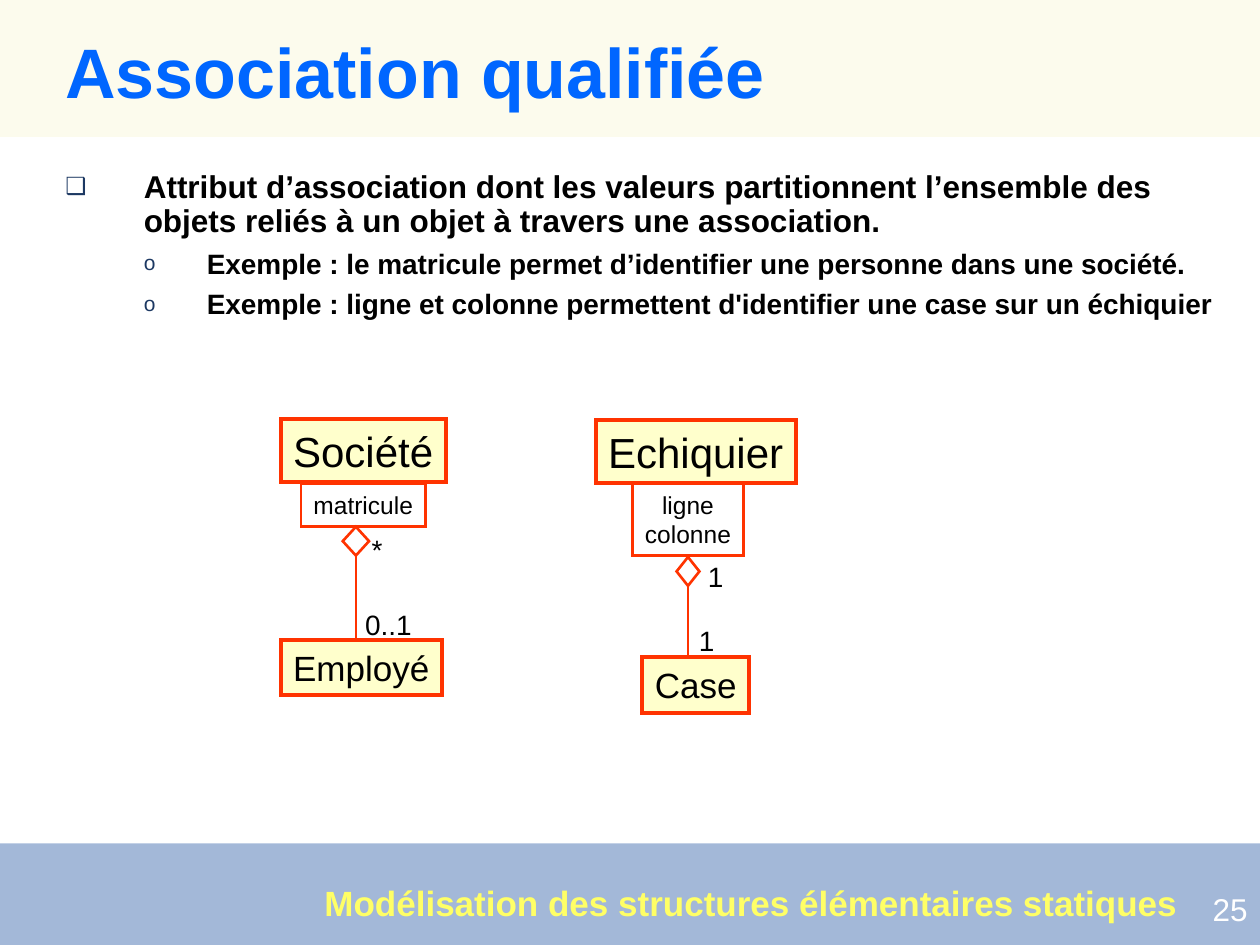
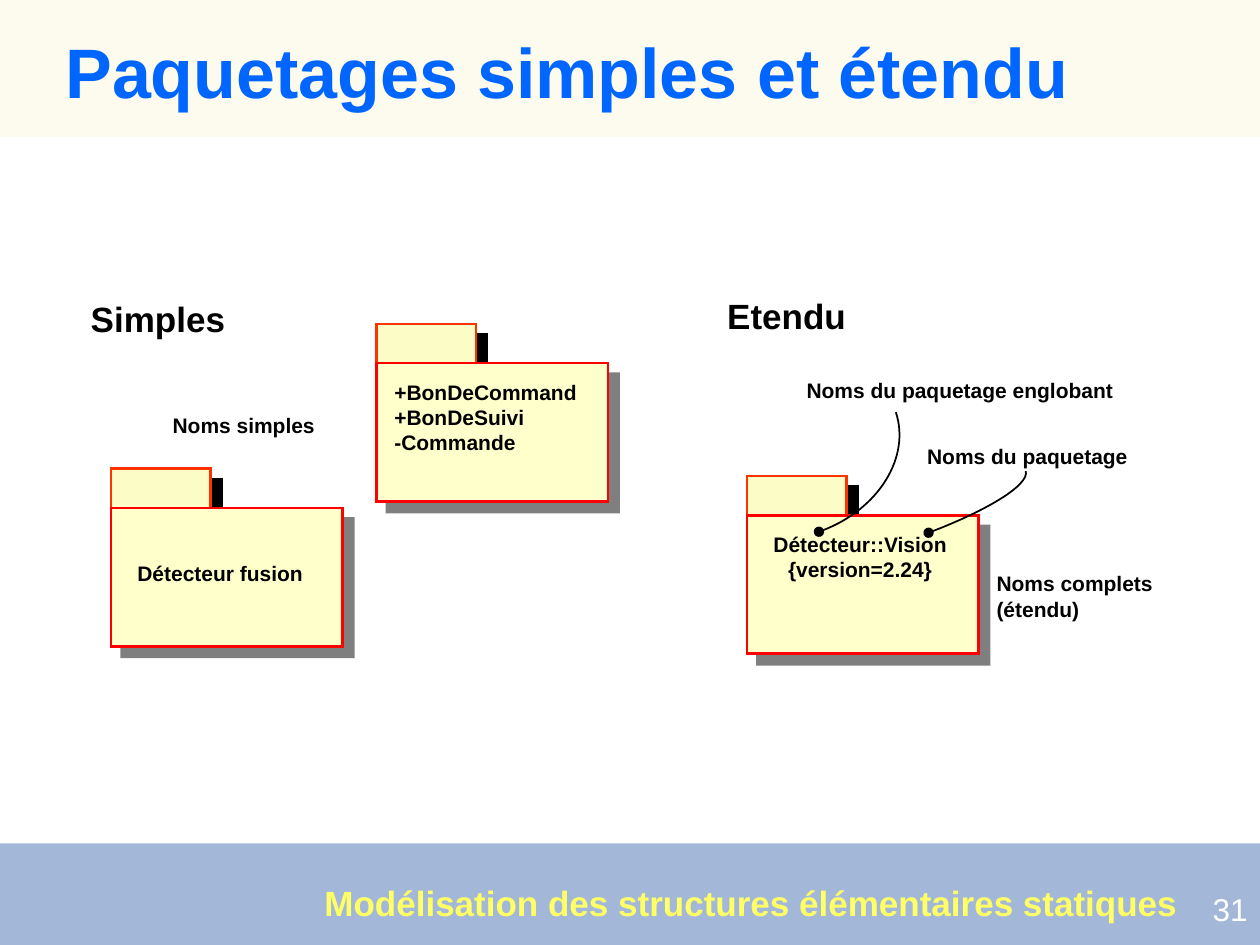
"""Build two UML course slides: qualified associations and packages."""
from dataclasses import dataclass
from typing import NamedTuple, Optional

from lxml.etree import SubElement
from pptx import Presentation
from pptx.dml.color import RGBColor as Rgb
from pptx.enum.shapes import MSO_CONNECTOR as Connector, MSO_SHAPE as Preset
from pptx.enum.text import MSO_ANCHOR as Anchor, PP_ALIGN as Align
from pptx.oxml.ns import qn
from pptx.util import Cm, Length, Pt


@dataclass(frozen=True)
class Theme:
    font: str = "Arial"
    title: Rgb = Rgb(0x00, 0x66, 0xFF)
    text: Rgb = Rgb(0, 0, 0)
    number: Rgb = Rgb(0xFF, 0xFF, 0xFF)
    footer: Rgb = Rgb(0xFF, 0xFF, 0x66)
    bullet: Rgb = Rgb(0x1C, 0x38, 0x62)
    header_band: Rgb = Rgb(0xFA, 0xF8, 0xD8)
    footer_band: Rgb = Rgb(0x33, 0x63, 0xA9)
    outline: Rgb = Rgb(0xFF, 0x33, 0x00)
    package_outline: Rgb = Rgb(0xFF, 0x00, 0x00)
    class_fill: Rgb = Rgb(0xFF, 0xFF, 0xCC)
    tab_fill: Rgb = Rgb(0xFC, 0xFD, 0xC6)
    band_opacity: int = 45
    title_size: Length = Pt(40)
    class_size: Length = Pt(24)
    heading_size: Length = Pt(20)
    body_size: Length = Pt(18)
    detail_size: Length = Pt(16)
    qualifier_size: Length = Pt(14)
    note_size: Length = Pt(12)
    thin: Length = Pt(1)
    medium: Length = Pt(1.5)
    thick: Length = Pt(2.25)


THEME = Theme()


class Area(NamedTuple):
    left: float
    top: float
    width: float
    height: float

    def lengths(self) -> list:
        return [Cm(value) for value in self]


@dataclass(frozen=True)
class Label:
    text: str
    area: Area
    size: Length = THEME.note_size
    color: Rgb = THEME.text
    bold: bool = True
    align: Align = Align.LEFT
    inset: bool = False
    wrap: bool = True
    spacing: Optional[float] = None
    anchor: Anchor = Anchor.TOP


@dataclass(frozen=True)
class ClassBox:
    text: str
    area: Area
    size: Length
    fill: Optional[Rgb] = THEME.class_fill
    weight: Length = THEME.thick
    align: Align = Align.LEFT


class Aggregation(NamedTuple):
    diamond: Area
    line_end: float


class Bullet(NamedTuple):
    text: str
    level: int = 0


class BulletStyle(NamedTuple):
    mark: str
    indent: float
    hanging: float
    size: Length
    before: Length


class Package(NamedTuple):
    left: float
    top: float


class Point(NamedTuple):
    x: float
    y: float


BULLET_STYLES = (
    BulletStyle("❑", 1.58, 1.58, THEME.body_size, Pt(6.8)),
    BulletStyle("o", 2.85, 1.27, THEME.detail_size, Pt(6)),
)
BULLETS = (
    Bullet("Attribut d’association dont les valeurs partitionnent l’ensemble des "
           "objets reliés à un objet à travers une association."),
    Bullet("Exemple : le matricule permet d’identifier une personne dans une société.", 1),
    Bullet("Exemple : ligne et colonne permettent d'identifier une case sur un échiquier", 1),
)
CLASS_BOXES = (
    ClassBox("matricule", Area(6.07, 9.75, 2.51, 0.86), THEME.qualifier_size, None, THEME.medium),
    ClassBox("ligne\ncolonne", Area(12.75, 9.75, 2.24, 1.45), THEME.qualifier_size, None,
             THEME.medium, Align.CENTER),
    ClassBox("Employé", Area(5.66, 12.9, 3.25, 1.12), THEME.heading_size),
    ClassBox("Case", Area(12.95, 13.25, 2.16, 1.12), THEME.heading_size),
    ClassBox("Echiquier", Area(12.01, 8.47, 4.04, 1.27), THEME.class_size),
    ClassBox("Société", Area(5.66, 8.45, 3.33, 1.27), THEME.class_size),
)
AGGREGATIONS = (
    Aggregation(Area(6.91, 10.62, 0.53, 0.58), 12.95),
    Aggregation(Area(13.64, 11.23, 0.46, 0.58), 13.26),
)
MULTIPLICITIES = (
    ("*", Area(7.24, 10.62, 0.71, 0.94)),
    ("0..1", Area(7.11, 12.12, 1.45, 0.94)),
    ("1", Area(14.02, 11.15, 0.81, 0.94)),
    ("1", Area(13.84, 12.45, 0.81, 0.94)),
)
PACKAGES = (Package(2.24, 9.45), Package(7.59, 6.53), Package(15.06, 9.6))
PACKAGE_LABELS = (
    Label("Détecteur fusion", Area(2.77, 11.3, 3.84, 0.51)),
    Label("+BonDeCommand\n+BonDeSuivi\n-Commande", Area(7.95, 7.65, 3.84, 1.52)),
    Label("Détecteur::Vision\n{version=2.24}", Area(15.42, 10.72, 3.84, 1.02),
          align=Align.CENTER),
    Label("Noms simples", Area(3.48, 8.31, 3.84, 0.51)),
    Label("Noms du paquetage englobant", Area(16.26, 7.62, 6.25, 0.51)),
    Label("Noms du paquetage", Area(18.69, 8.94, 4.62, 0.51)),
    Label("Noms complets (étendu)", Area(20.09, 11.51, 3.84, 1.02)),
    Label("Simples", Area(1.83, 5.99, 2.9, 0.84), THEME.heading_size),
    Label("Etendu", Area(14.66, 5.94, 2.9, 0.84), THEME.heading_size),
)
POINTERS = (
    (Point(16.51, 10.72), Point(17.68, 10.31), Point(18.36, 9.22), Point(18.06, 8.31)),
    (Point(18.72, 10.74), Point(19.86, 10.31), Point(20.75, 9.78), Point(20.68, 9.5)),
)


def set_font(para, size: Length, color: Rgb, bold: bool) -> None:
    para.font.name = THEME.font
    para.font.size = size
    para.font.bold = bold
    para.font.color.rgb = color


def fill_frame(frame, label: Label) -> None:
    frame.word_wrap = label.wrap
    frame.vertical_anchor = label.anchor
    if not label.inset:
        frame.margin_left = frame.margin_right = frame.margin_top = frame.margin_bottom = 0
    for index, line in enumerate(label.text.split("\n")):
        para = frame.add_paragraph() if index else frame.paragraphs[0]
        para.text = line
        para.alignment = label.align
        if label.spacing:
            para.line_spacing = label.spacing
        set_font(para, label.size, label.color, label.bold)


def add_label(page, label: Label) -> None:
    fill_frame(page.shapes.add_textbox(*label.area.lengths()).text_frame, label)


def add_box(page, area: Area, fill: Optional[Rgb] = None, outline: Optional[Rgb] = None,
            weight: Length = THEME.medium, preset: Preset = Preset.RECTANGLE):
    box = page.shapes.add_shape(preset, *area.lengths())
    box.shadow.inherit = False
    if fill is None:
        box.fill.background()
    else:
        box.fill.solid()
        box.fill.fore_color.rgb = fill
    if outline is None:
        box.line.fill.background()
    else:
        box.line.color.rgb = outline
        box.line.width = weight
        SubElement(box.element.spPr.find(qn("a:ln")), qn("a:miter"), lim="800000")
    return box


def add_band(page, area: Area, color: Rgb) -> None:
    band = add_box(page, area, color)
    tint = band.element.spPr.find(qn("a:solidFill")).find(qn("a:srgbClr"))
    SubElement(tint, qn("a:alpha"), val=str(THEME.band_opacity * 1000))


def add_page(deck, title: str, number: int):
    page = deck.slides.add_slide(deck.slide_layouts[6])
    add_band(page, Area(0, 0, 25.4, 2.76), THEME.header_band)
    add_band(page, Area(0, 17, 25.4, 2.05), THEME.footer_band)
    add_label(page, Label(title, Area(1.07, 0.64, 23.8, 1.78), THEME.title_size, THEME.title,
                          inset=True, spacing=0.9, anchor=Anchor.MIDDLE))
    add_label(page, Label(str(number), Area(22.91, 17.82, 2.49, 1.02), THEME.body_size,
                          THEME.number, bold=False, align=Align.RIGHT, inset=True))
    add_label(page, Label("Modélisation des structures élémentaires statiques",
                          Area(6.54, 17.77, 17.5, 0.84), THEME.heading_size, THEME.footer))
    return page


def add_bullets(page, area: Area, bullets: tuple) -> None:
    frame = page.shapes.add_textbox(*area.lengths()).text_frame
    frame.word_wrap = True
    for index, bullet in enumerate(bullets):
        style = BULLET_STYLES[bullet.level]
        para = frame.add_paragraph() if index else frame.paragraphs[0]
        para.text = bullet.text
        para.level = bullet.level
        props = para._p.get_or_add_pPr()
        props.set("marL", str(Cm(style.indent)))
        props.set("indent", str(-Cm(style.hanging)))
        SubElement(SubElement(props, qn("a:buClr")), qn("a:srgbClr"), val=str(THEME.bullet))
        SubElement(props, qn("a:buSzPct"), val="75000")
        SubElement(props, qn("a:buFont"), typeface=THEME.font)
        SubElement(props, qn("a:buChar"), char=style.mark)
        para.line_spacing = 0.9
        if index:
            para.space_before = style.before
        set_font(para, style.size, THEME.text, True)


def add_class_box(page, item: ClassBox) -> None:
    box = add_box(page, item.area, item.fill, THEME.outline, item.weight)
    fill_frame(box.text_frame, Label(item.text, item.area, item.size, bold=False,
                                     align=item.align, inset=True, wrap=False))


def add_aggregation(page, item: Aggregation) -> None:
    diamond = add_box(page, item.diamond, outline=THEME.outline, preset=Preset.DIAMOND)
    center = Cm(item.diamond.left + item.diamond.width / 2)
    line = page.shapes.add_connector(Connector.STRAIGHT, center, diamond.top + diamond.height,
                                     center, Cm(item.line_end))
    line.begin_connect(diamond, 2)
    line.line.color.rgb = THEME.outline
    line.line.width = THEME.medium
    SubElement(line.element.spPr, qn("a:effectLst"))


def cast_shadow(box, opacity: int) -> None:
    effects = box.element.spPr.find(qn("a:effectLst"))
    shadow = SubElement(effects, qn("a:outerShdw"), blurRad="0", dist=str(Pt(8.5)),
                        dir=str(45 * 60000), algn="ctr", rotWithShape="0")
    tint = SubElement(shadow, qn("a:srgbClr"), val=str(THEME.text))
    SubElement(tint, qn("a:alpha"), val=str(opacity * 1000))


def add_package(page, package: Package) -> None:
    tab = add_box(page, Area(*package, 2.01, 0.81), THEME.tab_fill, THEME.outline)
    cast_shadow(tab, 100)
    body = add_box(page, Area(package.left, package.top + 0.79, 4.67, 2.79),
                   THEME.class_fill, THEME.package_outline)
    cast_shadow(body, 50)


def add_pointer(page, points: tuple) -> None:
    start, *rest = [(Cm(point.x), Cm(point.y)) for point in points]
    builder = page.shapes.build_freeform(*start)
    builder.add_line_segments(rest, close=False)
    curve = builder.convert_to_shape()
    curve.shadow.inherit = False
    curve.fill.background()
    curve.line.color.rgb = THEME.text
    curve.line.width = THEME.thin
    outline = next(curve.element.iter(qn("a:path")))
    bezier = SubElement(outline, qn("a:cubicBezTo"))
    for segment in outline.findall(qn("a:lnTo")):
        bezier.append(segment[0])
        outline.remove(segment)
    SubElement(curve.element.spPr.find(qn("a:ln")), qn("a:headEnd"), type="oval")


def build_association(deck) -> None:
    page = add_page(deck, "Association qualifiée", 25)
    add_bullets(page, Area(1.07, 3.33, 23.83, 4.7), BULLETS)
    for aggregation in AGGREGATIONS:
        add_aggregation(page, aggregation)
    for item in CLASS_BOXES:
        add_class_box(page, item)
    for text, area in MULTIPLICITIES:
        add_label(page, Label(text, area, THEME.detail_size, bold=False, inset=True, wrap=False))


def build_packages(deck) -> None:
    page = add_page(deck, "Paquetages simples et étendu", 31)
    for package in PACKAGES:
        add_package(page, package)
    for label in PACKAGE_LABELS:
        add_label(page, label)
    for points in POINTERS:
        add_pointer(page, points)


def main() -> None:
    deck = Presentation()
    deck.slide_width, deck.slide_height = Cm(25.4), Cm(19.05)
    build_association(deck)
    build_packages(deck)
    deck.save("out.pptx")


if __name__ == "__main__":
    main()
